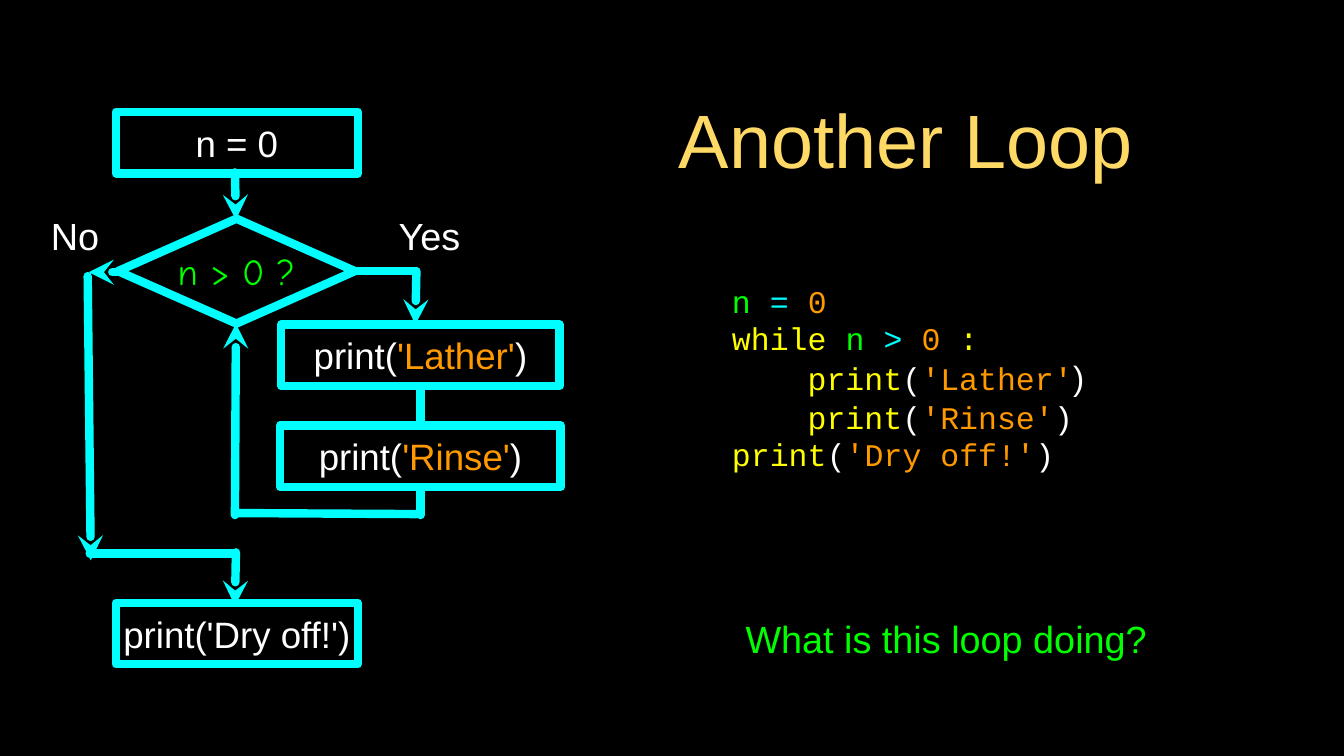
from lxml import etree
from pptx import Presentation
from pptx.dml.color import RGBColor
from pptx.enum import shapes, text
from pptx.oxml import ns
from pptx.util import Inches, Pt

BLACK = RGBColor(0x00, 0x00, 0x00)
WHITE = RGBColor(0xFF, 0xFF, 0xFF)
CYAN = RGBColor(0x00, 0xFF, 0xFF)
GREEN = RGBColor(0x00, 0xFF, 0x00)
YELLOW = RGBColor(0xFF, 0xFF, 0x00)
ORANGE = RGBColor(0xFF, 0x99, 0x00)
GOLD = RGBColor(0xFF, 0xD9, 0x66)

LINE_WIDTH = Pt(6)
STEP_SIZE = 26.2
LABEL_SIZE = 27
CODE_INDENT = Inches(0.75)  # four Courier New characters

# Each step: preset, box, font, runs
STEPS = [
    ("RECTANGLE", (1.15, 1.11, 2.4, 0.61), "Arial", [("n = 0", WHITE)]),
    ("DIAMOND", (1.17, 2.17, 2.35, 1.04), "Comic Neue", [("n > 0 ?", GREEN)]),
    ("RECTANGLE", (2.79, 3.22, 2.76, 0.61), "Arial",
     [("print(", WHITE), ("'Lather'", ORANGE), (")", WHITE)]),
    ("RECTANGLE", (2.78, 4.22, 2.78, 0.61), "Arial",
     [("print(", WHITE), ("'Rinse'", ORANGE), (")", WHITE)]),
    ("RECTANGLE", (1.15, 5.98, 2.4, 0.61), "Arial", [("print('Dry off!')", WHITE)]),
]

# Each flow: start, end, whether it ends in an arrowhead
FLOWS = [
    ((2.33, 1.71), (2.34, 2.18), True),    # start to test
    ((3.45, 2.69), (4.12, 2.69), False),   # yes branch
    ((4.13, 2.69), (4.12, 3.22), True),
    ((4.17, 3.84), (4.17, 4.22), False),   # Lather to Rinse
    ((4.17, 4.84), (4.17, 5.11), False),   # back to the test
    ((4.13, 5.1), (2.34, 5.09), False),
    ((2.33, 5.11), (2.34, 3.21), True),
    ((1.2, 2.7), (0.88, 2.7), True),       # no branch
    ((0.87, 2.74), (0.9, 5.56), True),
    ((0.89, 5.49), (2.33, 5.49), False),
    ((2.34, 5.48), (2.33, 6.01), True),
]

LABELS = [
    ("No", (0.45, 2.08, 0.59, 0.51), WHITE),
    ("Yes", (3.82, 2.08, 0.88, 0.51), WHITE),
    ("What is this loop doing?", (6.8, 6.08, 5.17, 0.51), GREEN),
]

# Each code line: indent level, runs
CODE = [
    (0, [("n ", GREEN), ("= ", CYAN), ("0", ORANGE)]),
    (0, [("while ", YELLOW), ("n ", GREEN), ("> ", CYAN), ("0", ORANGE), (" :", YELLOW)]),
    (1, [("print", YELLOW), ("(", WHITE), ("'Lather'", ORANGE), (")", WHITE)]),
    (1, [("print", YELLOW), ("(", WHITE), ("'Rinse'", ORANGE), (")", WHITE)]),
    (0, [("print", YELLOW), ("(", WHITE), ("'Dry off!'", ORANGE), (")", WHITE)]),
]


def inches(values):
    """Convert plain numbers to lengths."""
    return [Inches(value) for value in values]


def set_frame(frame, inset=0):
    """Wrap and centre a text frame vertically, with equal insets."""
    frame.word_wrap = True
    frame.auto_size = text.MSO_AUTO_SIZE.NONE
    frame.vertical_anchor = text.MSO_ANCHOR.MIDDLE
    frame.margin_left = frame.margin_right = Inches(inset)
    frame.margin_top = frame.margin_bottom = Inches(inset)


def write(paragraph, runs, font, size, align=text.PP_ALIGN.CENTER):
    """Fill a paragraph with (wording, colour) runs in one font and size."""
    paragraph.alignment = align
    paragraph.font.name = font
    paragraph.font.size = Pt(size)
    if len(runs) == 1:
        paragraph.font.color.rgb = runs[0][1]
    for wording, colour in runs:
        run = paragraph.add_run()
        run.text = wording
        if len(runs) > 1:
            run.font.color.rgb = colour


def style_line(line):
    """Give an outline or connector the thick cyan look."""
    line.color.rgb = CYAN
    line.width = LINE_WIDTH


def add_step(slide, preset, box, font, runs):
    """Add an unfilled flowchart step with its wording."""
    step = slide.shapes.add_shape(shapes.MSO_SHAPE[preset], *inches(box))
    step.shadow.inherit = False
    step.fill.background()
    style_line(step.line)
    etree.SubElement(step.line._get_or_add_ln(), ns.qn("a:round"))
    set_frame(step.text_frame)
    write(step.text_frame.paragraphs[0], runs, font, STEP_SIZE)


def add_flow(slide, start, end, arrow):
    """Add a round-capped flow line, with an arrowhead if asked."""
    flow = slide.shapes.add_connector(
        shapes.MSO_CONNECTOR.STRAIGHT, *inches(start + end))
    style_line(flow.line)
    outline = flow.line._get_or_add_ln()
    outline.set("cap", "rnd")
    etree.SubElement(outline, ns.qn("a:round"))
    if arrow:
        etree.SubElement(outline, ns.qn("a:tailEnd"), type="stealth")
    etree.SubElement(flow._element.spPr, ns.qn("a:effectLst"))


def add_label(slide, wording, box, colour):
    """Add a centred line of text."""
    frame = slide.shapes.add_textbox(*inches(box)).text_frame
    set_frame(frame)
    write(frame.paragraphs[0], [(wording, colour)], "Arial", LABEL_SIZE)


def add_code(slide, box, lines):
    """Add the coloured code listing, indented by paragraph margin."""
    frame = slide.shapes.add_textbox(*inches(box)).text_frame
    set_frame(frame)
    for number, (level, runs) in enumerate(lines):
        paragraph = frame.add_paragraph() if number else frame.paragraphs[0]
        write(paragraph, runs, "Courier New", 22.5, text.PP_ALIGN.LEFT)
        paragraph._p.get_or_add_pPr().set("marL", str(level * CODE_INDENT))
    lather_bracket = frame.paragraphs[2].runs[-1].font
    lather_bracket.name = "Arial"
    lather_bracket.size = Pt(24)


def set_title(slide, wording, box):
    """Place and format the title placeholder."""
    title = slide.shapes.title
    title.left, title.top, title.width, title.height = inches(box)
    set_frame(title.text_frame, 0.03)
    write(title.text_frame.paragraphs[0], [(wording, GOLD)], "Arial", 54)


def main():
    """Build the slide and save it."""
    deck = Presentation()
    deck.slide_width, deck.slide_height = inches((13.33, 7.5))
    slide = deck.slides.add_slide(deck.slide_layouts.get_by_name("Title Only"))
    slide.background.fill.solid()
    slide.background.fill.fore_color.rgb = BLACK

    set_title(slide, "Another Loop", (5.6, 0.67, 6.77, 1.41))
    add_code(slide, (7.26, 2.61, 4.12, 2.27), CODE)
    for flow in FLOWS:
        add_flow(slide, *flow)
    for step in STEPS:
        add_step(slide, *step)
    for label in LABELS:
        add_label(slide, *label)
    deck.save("out.pptx")


main()
